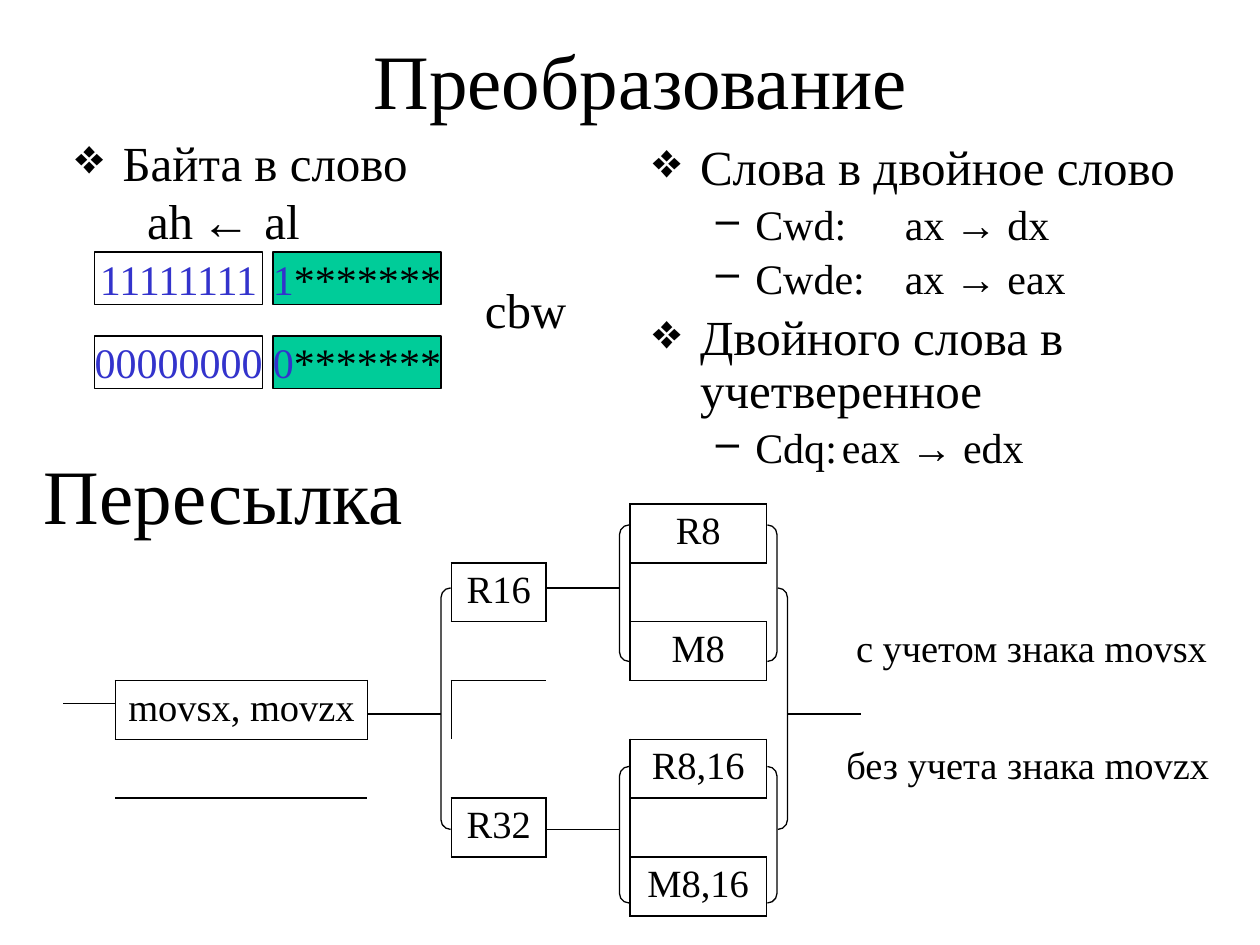
from lxml.etree import SubElement
from pptx import Presentation
from pptx.dml.color import RGBColor as Rgb
from pptx.enum.shapes import MSO_CONNECTOR as Link, MSO_SHAPE as Kind
from pptx.enum.text import MSO_ANCHOR as Anchor, PP_ALIGN as Align
from pptx.oxml.ns import qn
from pptx.util import Pt

FONT = "Times New Roman"
HUES = {"ink": "000000", "paper": "FFFFFF", "sign": "3333CC", "low": "00CC99"}

TITLE = "Преобразование"
BYTE = "Байта в слово"
MOVE = "ah\t←\tal"
WIDE = [
    (0, "Слова в двойное слово"),
    (1, "Cwd:\tax → dx"),
    (1, "Cwde:\tax → eax"),
    (0, "Двойного слова в учетверенное"),
    (1, "Cdq:\teax → edx"),
]
# Per level: size, left margin, hanging indent, bullet
LEVELS = [(28, 27, -27, "❖"), (24, 58.5, -22.5, "–")]
BITS = ["1", "0"]

COLS = [54, 144, 48, 54, 48, 78, 264]
ROWS, ROW_H = 7, 33.6
BOXED = {
    (0, 5): "R8", (1, 3): "R16", (2, 5): "M8", (3, 1): "movsx, movzx",
    (4, 5): "R8,16", (5, 3): "R32", (6, 5): "M8,16",
}
NOTES = {(2, 6): ("с учетом знака movsx", 44), (4, 6): ("без учета знака movzx", 38.5)}
SIDES = [("a:lnL", 0, -1), ("a:lnR", 0, 1), ("a:lnT", -1, 0), ("a:lnB", 1, 0)]
NO_STYLE = "{2D5ABB26-0587-4C30-8999-92F81FD0307C}"

# Left, top, width, height, corner
PAIRS = [(354, 300, 90, 78, 0.07), (354, 438, 90, 78, 0.07), (252, 336, 198, 138, 0.04)]
# Left, right, height on the slide
WIRES = [(36, 66, 402), (210, 252, 408), (312, 354, 336), (312, 354, 474), (450, 492, 408)]


def color(name):
    return Rgb.from_string(HUES[name])


def write(frame, *runs, size=28, align=None, left=0, indent=0, before=0,
          lines=None, bullet=None, tabs=()):
    """Add a paragraph of (text, hue) runs, filling an empty first one."""
    para = frame.paragraphs[0]
    if para.runs:
        para = frame.add_paragraph()
        para.space_before = Pt(before)
    if align:
        para.alignment = align
    if lines:
        para.line_spacing = lines
    props = para._p.get_or_add_pPr()
    props.set("marL", str(Pt(left)))
    props.set("indent", str(Pt(indent)))
    if bullet:
        SubElement(props, qn("a:buChar")).set("char", bullet)
    else:
        SubElement(props, qn("a:buNone"))
    if tabs:
        stops = SubElement(props, qn("a:tabLst"))
        for stop in tabs:
            SubElement(stops, qn("a:tab"), pos=str(Pt(stop)), algn="l")
    for text, hue in runs:
        run = para.add_run()
        run.text = text
        run.font.name, run.font.size = FONT, Pt(size)
        run.font.color.rgb = color(hue)


def box(x, y, w, h):
    frame = slide.shapes.add_textbox(Pt(x), Pt(y), Pt(w), Pt(h)).text_frame
    frame.word_wrap = True
    return frame


def shape(kind, x, y, w, h, fill=None):
    item = slide.shapes.add_shape(kind, Pt(x), Pt(y), Pt(w), Pt(h))
    item.shadow.inherit = False
    item.line.color.rgb, item.line.width = color("ink"), Pt(0.75)
    if fill:
        item.fill.solid()
        item.fill.fore_color.rgb = color(fill)
    else:
        item.fill.background()
    return item


def bits(x, y, fill, *runs):
    frame = shape(Kind.RECTANGLE, x, y, 96, 30, fill).text_frame
    frame.word_wrap, frame.vertical_anchor = False, Anchor.MIDDLE
    write(frame, *runs, size=24, align=Align.CENTER)


def edge(cell, side):
    line = SubElement(cell._tc.get_or_add_tcPr(), qn(side), w=str(Pt(1)))
    fill = SubElement(line, qn("a:solidFill"))
    SubElement(fill, qn("a:srgbClr"), val=HUES["ink"])


def grid():
    table = slide.shapes.add_table(ROWS, len(COLS), Pt(12), Pt(288),
                                   Pt(sum(COLS)), Pt(ROWS * ROW_H)).table
    table.first_row = table.horz_banding = False
    table._tbl.tblPr.find(qn("a:tableStyleId")).text = NO_STYLE
    for col, width in zip(table.columns, COLS):
        col.width = Pt(width)
    for r, row in enumerate(table.rows):
        row.height = Pt(ROW_H)
        for c, cell in enumerate(row.cells):
            for side, down, over in SIDES:
                if (r, c) in BOXED or (r + down, c + over) in BOXED:
                    edge(cell, side)
            cell.fill.background()
            if (r, c) in BOXED:
                write(cell.text_frame, (BOXED[r, c], "ink"), size=22, align=Align.CENTER)
            elif (r, c) in NOTES:
                text, left = NOTES[r, c]
                write(cell.text_frame, (text, "ink"), size=22, left=left)


deck = Presentation()
deck.slide_width, deck.slide_height = Pt(720), Pt(540)
slide = deck.slides.add_slide(deck.slide_layouts[5])

title = slide.shapes.title
title.left, title.top, title.width, title.height = Pt(60), Pt(24), Pt(612), Pt(42)
title.text_frame.vertical_anchor = Anchor.MIDDLE
write(title.text_frame, (TITLE, "ink"), size=44, align=Align.CENTER)

size, left, indent, mark = LEVELS[0]
frame = box(36, 72, 318, 78)
write(frame, (BYTE, "ink"), size=size, left=left, indent=indent, bullet=mark)
write(frame, (MOVE, "ink"), indent=41, tabs=(93, 144))

frame = box(366, 78, 318, 216)
for level, text in WIDE:
    size, left, indent, mark = LEVELS[level]
    write(frame, (text, "ink"), size=size, left=left, indent=indent,
          before=size * 0.2, lines=0.9, bullet=mark)

for i, bit in enumerate(BITS):
    y = 144 + 48 * i
    bits(54, y, "paper", (bit * 8, "sign"))
    bits(156, y, "low", (bit, "sign"), ("*" * 7, "ink"))
write(box(270, 156, 66, 41), ("cbw", "ink"))

grid()
for *place, corner in PAIRS:
    shape(Kind.DOUBLE_BRACKET, *place).adjustments[0] = corner
for start, end, y in WIRES:
    wire = slide.shapes.add_connector(Link.STRAIGHT, Pt(start), Pt(y), Pt(end), Pt(y))
    wire.line.color.rgb, wire.line.width = color("ink"), Pt(0.75)
    SubElement(wire._element.spPr, qn("a:effectLst"))
write(box(18, 252, 222, 60), ("Пересылка", "ink"), size=44)

deck.save("out.pptx")
